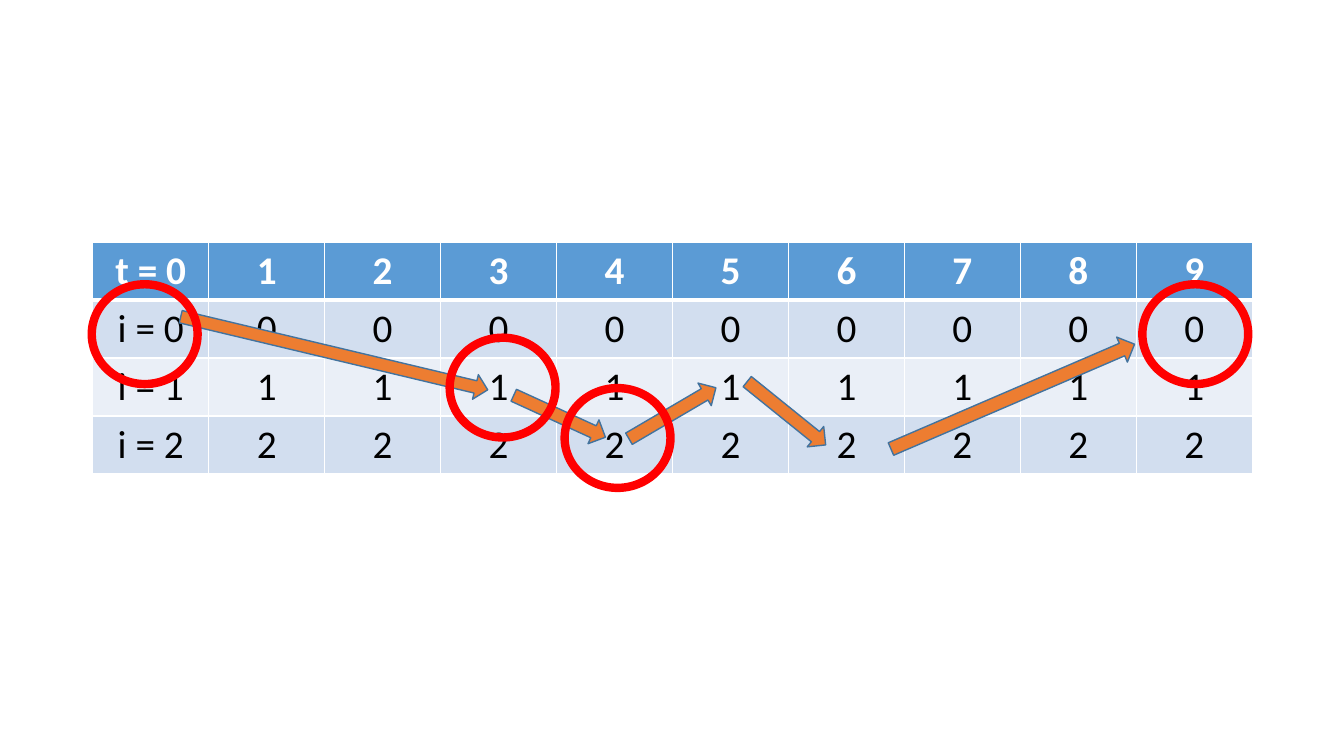
import pptx
import pptx.dml.color
import pptx.enum.shapes
import pptx.enum.text
import pptx.oxml
import pptx.oxml.ns
import pptx.util

PX = 9144  # EMU in one px, 100 px to the inch
RGB = pptx.dml.color.RGBColor.from_string
KIND = pptx.enum.shapes.MSO_SHAPE

theme = {
    "head": {"fill": "5B9BD5", "font": {"bold": True}, "ink": "FFFFFF"},
    "odd": {"fill": "D2DEEF", "font": {"bold": False}, "ink": "000000"},
    "even": {"fill": "EAEFF7", "font": {"bold": False}, "ink": "000000"},
    "text": {"name": "Calibri", "size": pptx.util.Pt(28)},
    "grid": "FFFFFF",
    "arrow": {"fill": "ED7D31", "line": "43739E", "width": 1},
    "ring": {"fill": None, "line": "FF0000", "width": 6},
}


def edge(cell, side, width):
    """Draw one border of a cell, width in points."""
    line = pptx.oxml.parse_xml(
        f'<a:{side} {pptx.oxml.ns.nsdecls("a")} w="{pptx.util.Pt(width)}">'
        f'<a:solidFill><a:srgbClr val="{theme["grid"]}"/></a:solidFill></a:{side}>'
    )
    cell._tc.get_or_add_tcPr().append(line)


def mark(kind, box, style, turn=0):
    shape = slide.shapes.add_shape(kind, *(n * PX for n in box))
    shape.shadow.inherit = False
    shape.rotation = turn
    if style["fill"]:
        shape.fill.solid()
        shape.fill.fore_color.rgb = RGB(style["fill"])
    else:
        shape.fill.background()
    shape.line.color.rgb = RGB(style["line"])
    shape.line.width = pptx.util.Pt(style["width"])


deck = pptx.Presentation()
deck.slide_width, deck.slide_height = 1333 * PX, 750 * PX
slide = deck.slides.add_slide(deck.slide_layouts[6])

# Table: times across, the states 0 to 2 below
rows, cols = 4, 10
wide, high = 115, 57
frame = slide.shapes.add_table(
    rows, cols, 92 * PX, 240 * PX, cols * wide * PX, rows * high * PX
)
table = frame.table
for row in range(rows):
    table.rows[row].height = high * PX
    style = theme["head" if row == 0 else "odd" if row % 2 else "even"]
    for col in range(cols):
        cell = table.cell(row, col)
        text = str(row - 1 if row else col)
        if col == 0:
            text = ("i" if row else "t") + " = " + text
        cell.text = text
        para = cell.text_frame.paragraphs[0]
        para.alignment = pptx.enum.text.PP_ALIGN.CENTER
        font = para.runs[0].font
        for name, value in {**theme["text"], **style["font"]}.items():
            setattr(font, name, value)
        font.color.rgb = RGB(style["ink"])
        sides = {"lnL": 1, "lnR": 1, "lnT": 3 if row == 1 else 1, "lnB": 1 if row else 3}
        for side, width in sides.items():
            edge(cell, side, width)
        cell.fill.solid()
        cell.fill.fore_color.rgb = RGB(style["fill"])

# Arrows along the chosen path: box and turn in degrees
arrows = [
    ((175, 338, 313, 25), 13.4),
    ((505, 400, 100, 26), 24.6),
    ((617, 397, 100, 26), 329.6),
    ((730, 397, 100, 26), 38.9),
    ((873, 380, 263, 27), 336.7),
]
for box, turn in arrows:
    mark(KIND.RIGHT_ARROW, box, theme["arrow"], turn)

# Rings around chosen states
for left, top in [(446, 335), (91, 282), (560, 385), (1133, 282)]:
    mark(KIND.OVAL, (left, top, 105, 99), theme["ring"])

deck.save("out.pptx")
